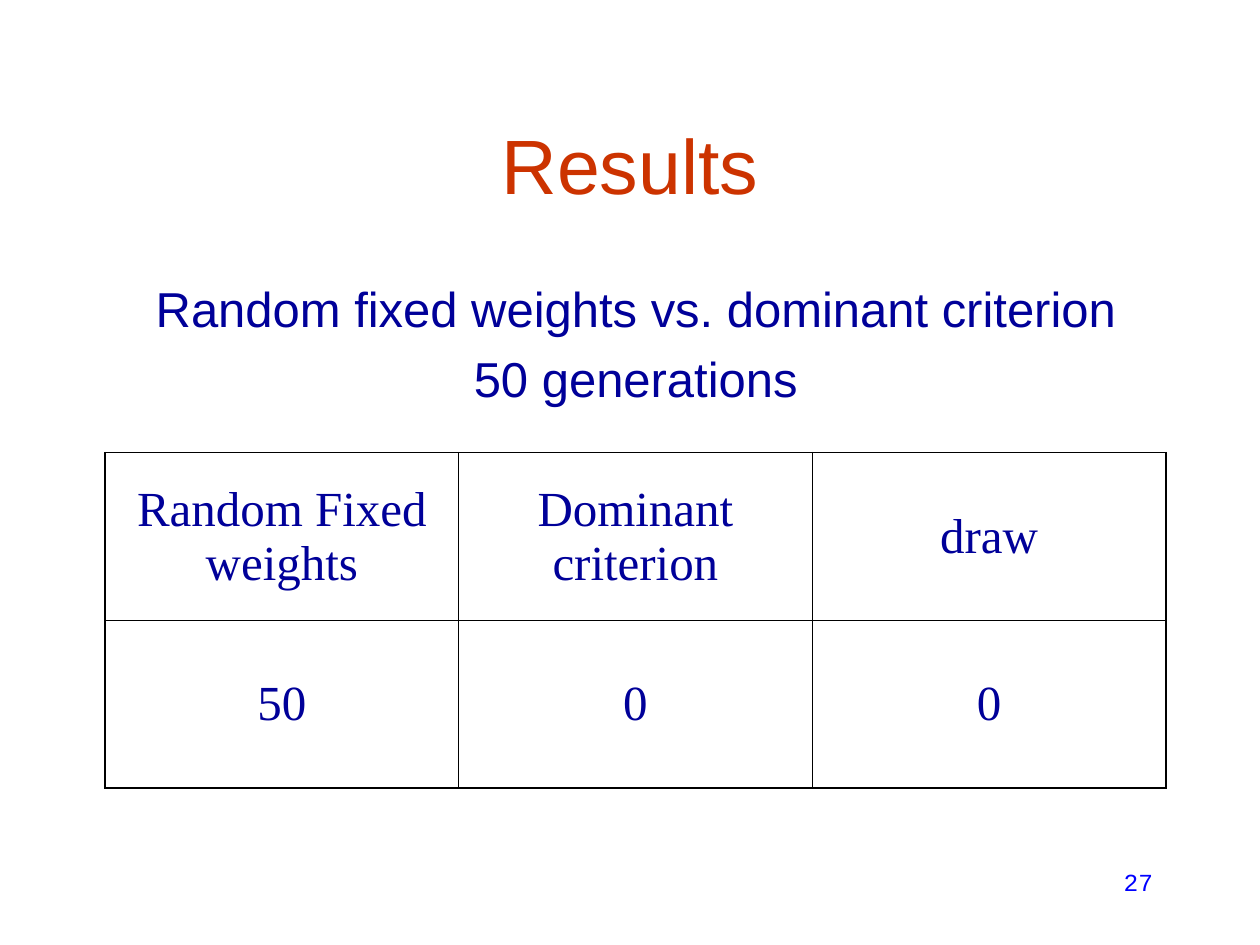
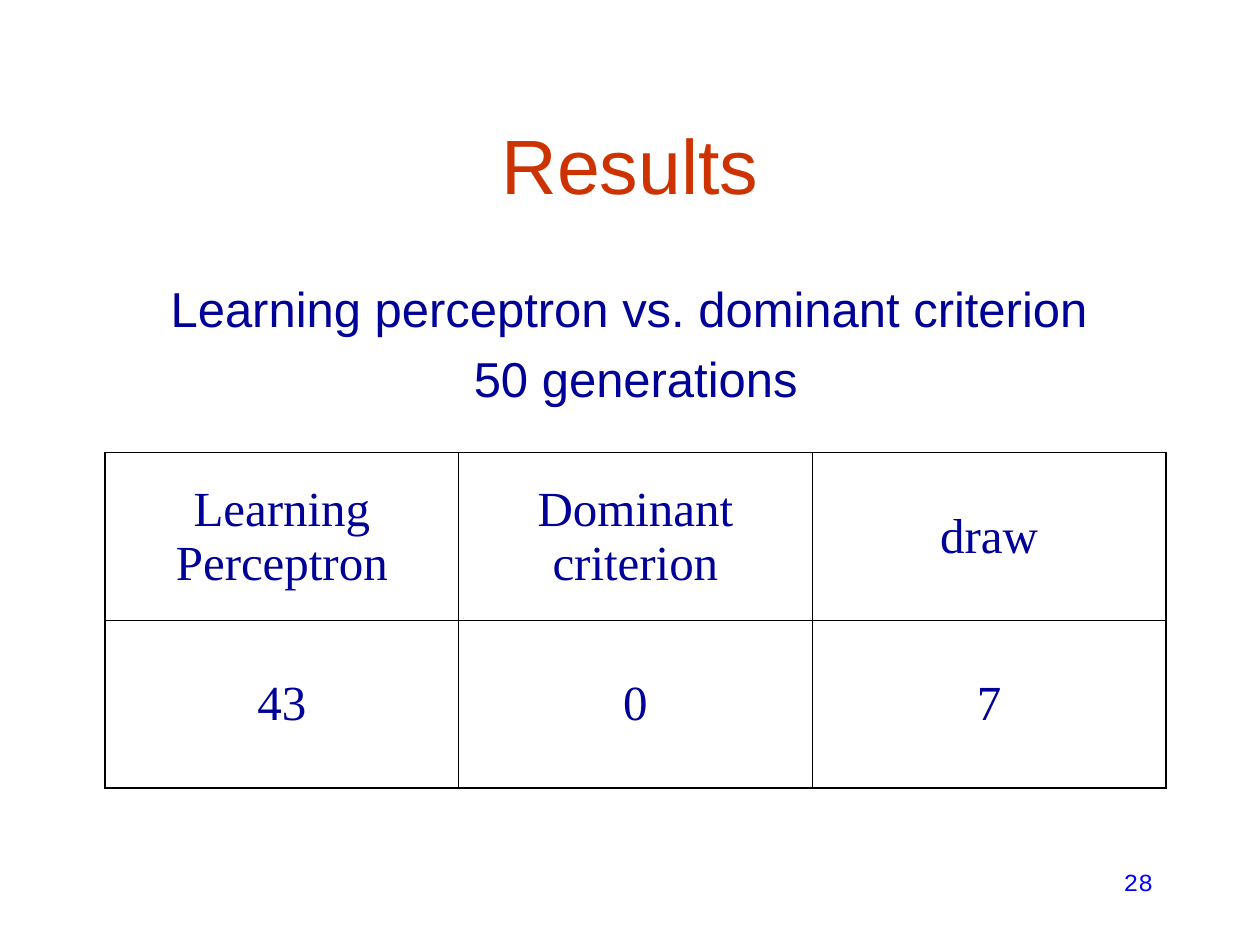
from lxml.etree import SubElement as Sub
from pptx import Presentation
from pptx.dml.color import RGBColor as RGB
from pptx.enum.text import MSO_ANCHOR as Anchor, PP_ALIGN as Align
from pptx.oxml.ns import qn
from pptx.util import Inches, Pt

INK = {"title": "CC3300", "text": "000099", "page": "0000FF", "rule": "000000"}
FONTS = {
    "title": dict(name="Arial", size=Pt(44)),
    "body": dict(name="Arial", size=Pt(28)),
    "cell": dict(name="Times New Roman", size=Pt(28)),
    "page": dict(name="Courier New", size=Pt(14)),
}
THICK, THIN = Pt(1.08), Pt(0.45)
HEADS = ["Dominant criterion", "draw"]
RUNS = [
    (27, "Random fixed weights vs. dominant criterion", "Random Fixed weights", [50, 0, 0]),
    # The closing space nudges the centred line slightly left.
    (28, "Learning perceptron vs. dominant criterion ", "Learning Perceptron", [43, 0, 7]),
]

deck = Presentation()
deck.slide_width, deck.slide_height = Inches(10), Inches(7.5)
W, H = deck.slide_width, deck.slide_height


def place(shape, x, y, w, h):
    """Set a shape's box, given as shares of the slide."""
    shape.left, shape.top = round(x * W), round(y * H)
    shape.width, shape.height = round(w * W), round(h * H)


def write(frame, lines, font, ink, align, pads, anchor=Anchor.TOP):
    """Fill a text frame; pads are left, top, right and bottom in inches."""
    frame.word_wrap, frame.vertical_anchor = True, anchor
    for side, pad in zip(("left", "top", "right", "bottom"), pads):
        setattr(frame, f"margin_{side}", Inches(pad))
    frame.text = "\n".join(lines)
    for para in frame.paragraphs:
        para.alignment = align
        for key, value in FONTS[font].items():
            setattr(para.font, key, value)
        para.font.color.rgb = RGB.from_string(INK[ink])


for page, topic, rival, scores in RUNS:
    slide = deck.slides.add_slide(deck.slide_layouts[1])
    title, body = slide.placeholders
    place(title, 0.075, 0.09, 0.85, 1 / 6)
    write(title.text_frame, ["Results"], "title", "title", Align.CENTER,
          (0.14, 0.05, 0.14, 0.05), Anchor.MIDDLE)

    place(body, 0.067, 0.295, 0.875, 0.144)
    write(body.text_frame, [topic, "50 generations"], "body", "text",
          Align.CENTER, (0, 0, 0.04, 0))
    for para in body.text_frame.paragraphs:
        para.space_before = Pt(6.4)
        props = para._p.get_or_add_pPr()
        props.set("marL", str(Inches(0.15)))
        props.set("indent", str(Inches(-0.11)))
        Sub(props, qn("a:buNone"))
        # The bullet setting comes before the default run format.
        props.append(props.find(qn("a:defRPr")))

    rows = [[rival, *HEADS], scores]
    tall, wide = len(rows), len(rows[0])
    frame = slide.shapes.add_table(tall, wide, 0, 0, W, H)
    place(frame, 1 / 12, 0.479, 0.842, 0.355)
    table = frame.table
    table.first_row = table.horz_banding = False
    for col in table.columns:
        col.width = round(0.842 * W / wide)
    for r, row in enumerate(rows):
        table.rows[r].height = round(0.355 * H / tall)
        for c, value in enumerate(row):
            cell = table.cell(r, c)
            write(cell.text_frame, [str(value)], "cell", "text", Align.CENTER,
                  (0.06, 0.05, 0.06, 0.05))
            cell.vertical_anchor = Anchor.MIDDLE
            for side, pad in dict(left=0.06, top=0.05, right=0.06, bottom=0.05).items():
                setattr(cell, f"margin_{side}", Inches(pad))
            outer = dict(L=c == 0, R=c == wide - 1, T=r == 0, B=r == tall - 1)
            props = cell._tc.get_or_add_tcPr()
            for side, edge in outer.items():
                line = Sub(props, qn(f"a:ln{side}"), w=str(THICK if edge else THIN))
                Sub(Sub(line, qn("a:solidFill")), qn("a:srgbClr"), val=INK["rule"])
            cell.fill.background()

    number = slide.shapes.add_textbox(0, 0, W, H)
    place(number, 0.717, 0.911, 0.208, 0.067)
    write(number.text_frame, [str(page)], "page", "page", Align.RIGHT,
          (0.1, 0.05, 0.1, 0.05))

deck.save("out.pptx")
